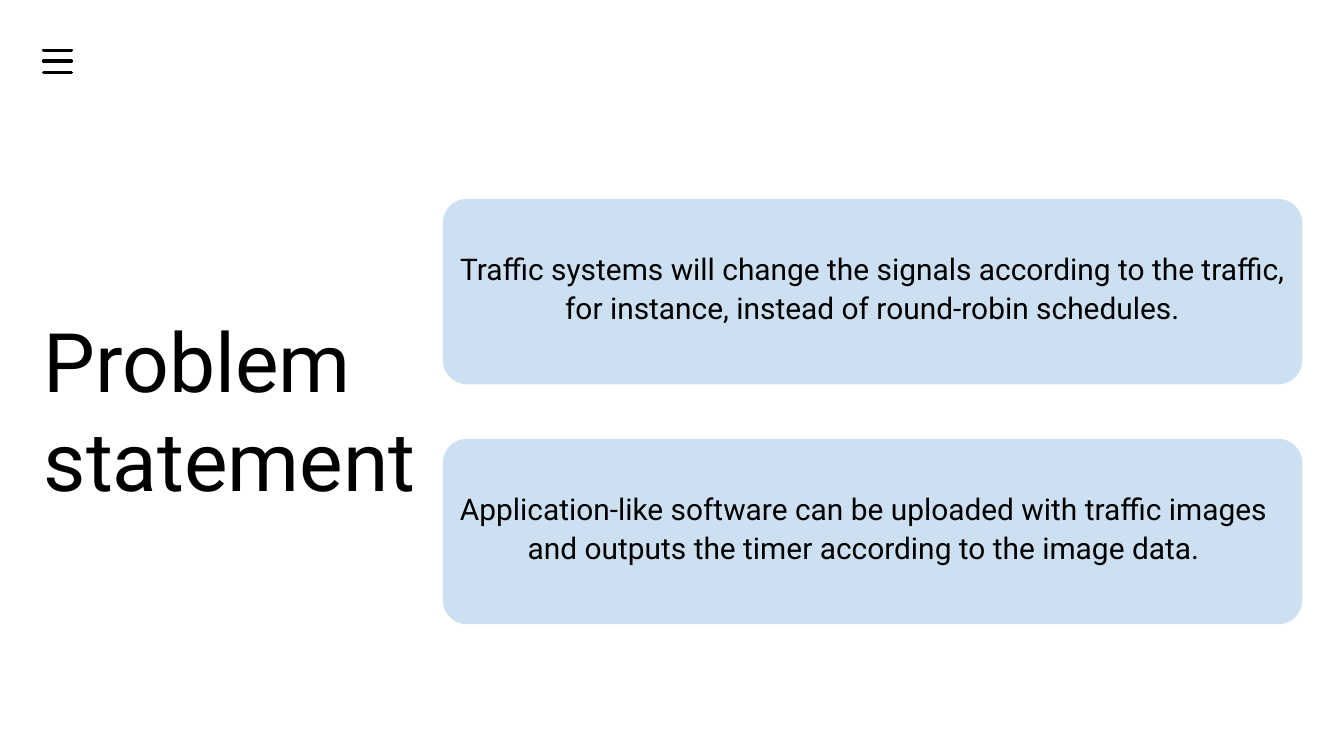
from lxml.etree import SubElement
from pptx import Presentation
from pptx.dml.color import RGBColor
from pptx.enum.shapes import MSO_CONNECTOR, MSO_SHAPE
from pptx.enum.text import MSO_ANCHOR, MSO_AUTO_SIZE, PP_ALIGN
from pptx.oxml.ns import qn
from pptx.util import Emu, Pt

PX = 9144  # EMU per px, 100 px to the inch
BLACK = RGBColor(0x00, 0x00, 0x00)
PALE_BLUE = RGBColor(0xCD, 0xE0, 0xF1)
FONT = "Roboto"

MARGIN = 65
CARD_LEFT, CARD_TOP, CARD_WIDTH, CARD_HEIGHT = 659, 296, 1279, 276
CARD_PITCH = 357
CARD_RADIUS = 36
STATEMENTS = [
    ("Traffic systems will change the signals according to the traffic, "
     "for instance, instead of round-robin schedules.", 1279),
    ("Application-like software can be uploaded with traffic images "
     "and outputs the timer according to the image data.", 1253),
]


def px(*lengths):
    return [Emu(length * PX) for length in lengths]


def fill_text(sp, text, size, leading, align):
    tf = sp.text_frame
    tf.text = text
    tf.word_wrap = True
    tf.auto_size = MSO_AUTO_SIZE.NONE
    tf.vertical_anchor = MSO_ANCHOR.TOP
    tf.margin_left = tf.margin_top = tf.margin_right = tf.margin_bottom = 0
    p = tf.paragraphs[0]
    p.alignment = align
    p.line_spacing = Pt(leading)
    p.space_before = Pt(0)
    font = p.runs[0].font
    font.name = FONT
    font.size = Pt(size)
    font.color.rgb = BLACK


def add_title(s, text):
    sp = s.shapes.title
    sp.left, sp.top, sp.width, sp.height = px(MARGIN, 462, 704, 294)
    fill_text(sp, text, 88, 105.6, PP_ALIGN.LEFT)


def add_card(s, top):
    sp = s.shapes.add_shape(MSO_SHAPE.ROUNDED_RECTANGLE,
                            *px(CARD_LEFT, top, CARD_WIDTH, CARD_HEIGHT))
    sp.adjustments[0] = CARD_RADIUS / CARD_HEIGHT
    sp.shadow.inherit = False
    sp.fill.solid()
    sp.fill.fore_color.rgb = PALE_BLUE
    sp.line.fill.background()


def add_statement(s, text, top, width):
    sp = s.shapes.add_textbox(*px(CARD_LEFT, top, width, 116))
    fill_text(sp, text, 32, 41.6, PP_ALIGN.CENTER)


def add_menu_icon(s):
    """Three stacked bars with round ends."""
    for y in (75, 91, 108):
        bar = s.shapes.add_connector(MSO_CONNECTOR.STRAIGHT,
                                     *px(MARGIN, y, 106, y))
        bar.line.color.rgb = BLACK
        bar.line.width = Pt(4)
        sp_pr = bar.element.find(qn("p:spPr"))
        sp_pr.find(qn("a:ln")).set("cap", "rnd")
        SubElement(sp_pr, qn("a:effectLst"))


def main():
    prs = Presentation()
    prs.slide_width, prs.slide_height = px(2000, 1125)
    s = prs.slides.add_slide(prs.slide_layouts[5])
    add_title(s, "Problem statement")
    add_menu_icon(s)
    for i, (text, width) in enumerate(STATEMENTS):
        top = CARD_TOP + i * CARD_PITCH
        add_card(s, top)
        add_statement(s, text, top + 73, width)
    prs.save("out.pptx")


if __name__ == "__main__":
    main()
